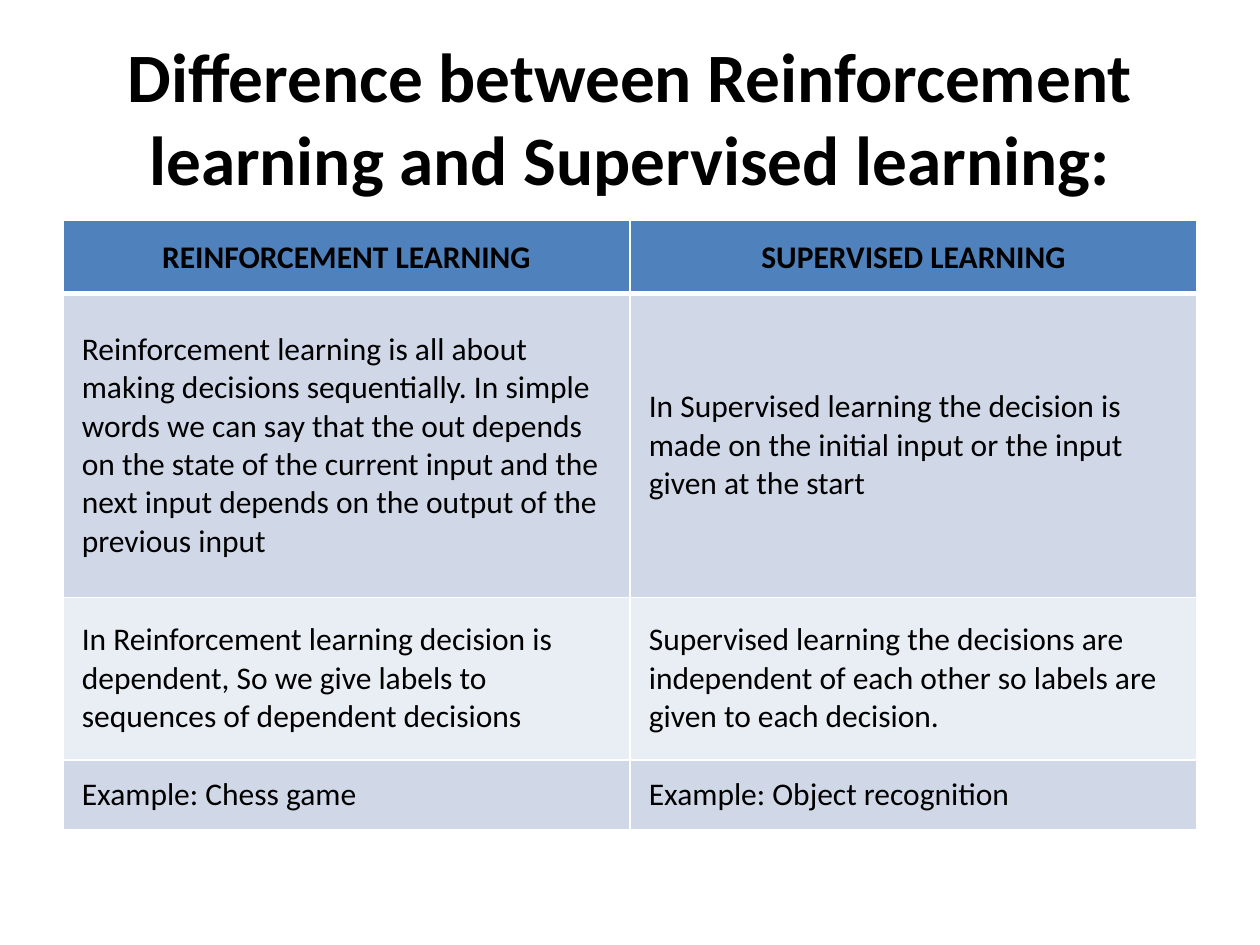
from lxml import etree
from pptx import Presentation
from pptx import util as u
from pptx.dml.color import RGBColor
from pptx.enum import text
from pptx.oxml import ns

COLORS = {
    "text": "000000",
    "header": "4F81BD",
    "odd": "D0D8E8",
    "even": "E9EDF4",
    "border": "FFFFFF",
}
FONT = "Calibri"
TITLE = "Difference between Reinforcement learning and Supervised learning:"
ROWS = [
    ("REINFORCEMENT LEARNING", "SUPERVISED LEARNING"),
    (
        "Reinforcement learning is all about making decisions sequentially. "
        "In simple words we can say that the out depends on the state of the "
        "current input and the next input depends on the output of the previous input",
        "In Supervised learning the decision is made on the initial input "
        "or the input given at the start",
    ),
    (
        "In Reinforcement learning decision is dependent, So we give labels to "
        "sequences of dependent decisions",
        "Supervised learning the decisions are independent of each other so "
        "labels are given to each decision.",
    ),
    ("Example: Chess game", "Example: Object recognition"),
]
ROW_HEIGHTS = [1.47, 6.12, 3.28, 1.4]


def write_text(tf, content, size=18, bold=False, align=text.PP_ALIGN.LEFT):
    tf.word_wrap = True
    p = tf.paragraphs[0]
    p.alignment = align
    r = p.add_run()
    r.text = content
    r.font.name = FONT
    r.font.size = u.Pt(size)
    r.font.bold = bold
    r.font.color.rgb = RGBColor.from_string(COLORS["text"])


def set_border(cell, side, width):
    tc_pr = cell._tc.get_or_add_tcPr()
    ln = etree.SubElement(tc_pr, ns.qn(f"a:ln{side}"), w=str(u.Pt(width)))
    fill = etree.SubElement(ln, ns.qn("a:solidFill"))
    etree.SubElement(fill, ns.qn("a:srgbClr"), val=COLORS["border"])


def format_cell(cell, row):
    cell.vertical_anchor = text.MSO_ANCHOR.MIDDLE
    side_margin, end_margin = (0.2, 0.2) if row == 0 else (0.38, 0.19)
    cell.margin_left = cell.margin_right = u.Cm(side_margin)
    cell.margin_top = cell.margin_bottom = u.Cm(end_margin)
    widths = {"L": 1, "R": 1, "T": 3 if row == 1 else 1, "B": 3 if row == 0 else 1}
    for side, width in widths.items():
        set_border(cell, side, width)
    band = "header" if row == 0 else "odd" if row % 2 else "even"
    cell.fill.solid()
    cell.fill.fore_color.rgb = RGBColor.from_string(COLORS[band])


def add_title(s, left, top, width, height):
    sp = s.shapes.add_textbox(u.Cm(left), u.Cm(top), u.Cm(width), u.Cm(height))
    sp.text_frame.vertical_anchor = text.MSO_ANCHOR.MIDDLE
    write_text(sp.text_frame, TITLE, size=39.6, bold=True, align=text.PP_ALIGN.CENTER)


def add_comparison(s, left, top, width):
    columns = len(ROWS[0])
    table = s.shapes.add_table(
        len(ROWS), columns, u.Cm(left), u.Cm(top), u.Cm(width), u.Cm(sum(ROW_HEIGHTS))
    ).table
    for column in table.columns:
        column.width = u.Cm(width / columns)
    for i, (contents, height) in enumerate(zip(ROWS, ROW_HEIGHTS)):
        table.rows[i].height = u.Cm(height)
        align = text.PP_ALIGN.CENTER if i == 0 else text.PP_ALIGN.LEFT
        for j, content in enumerate(contents):
            cell = table.cell(i, j)
            format_cell(cell, i)
            write_text(cell.text_frame, content, bold=i == 0, align=align)


def main():
    prs = Presentation()
    prs.slide_width, prs.slide_height = u.Cm(25.4), u.Cm(19.05)
    s = prs.slides.add_slide(prs.slide_layouts[6])
    add_title(s, 1.27, 0.76, 22.86, 3.18)
    add_comparison(s, 1.27, 4.45, 22.86)
    prs.save("out.pptx")


if __name__ == "__main__":
    main()
